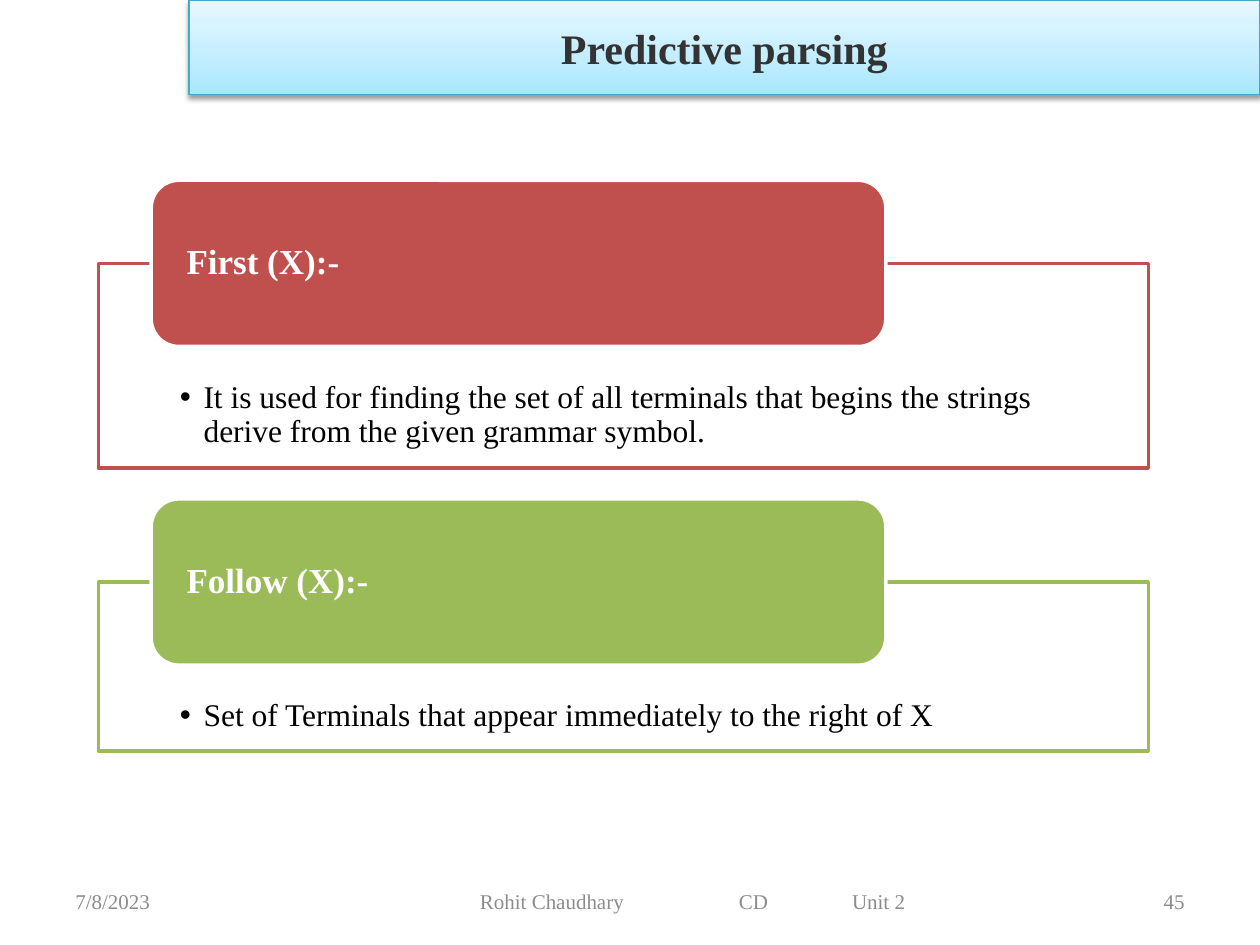
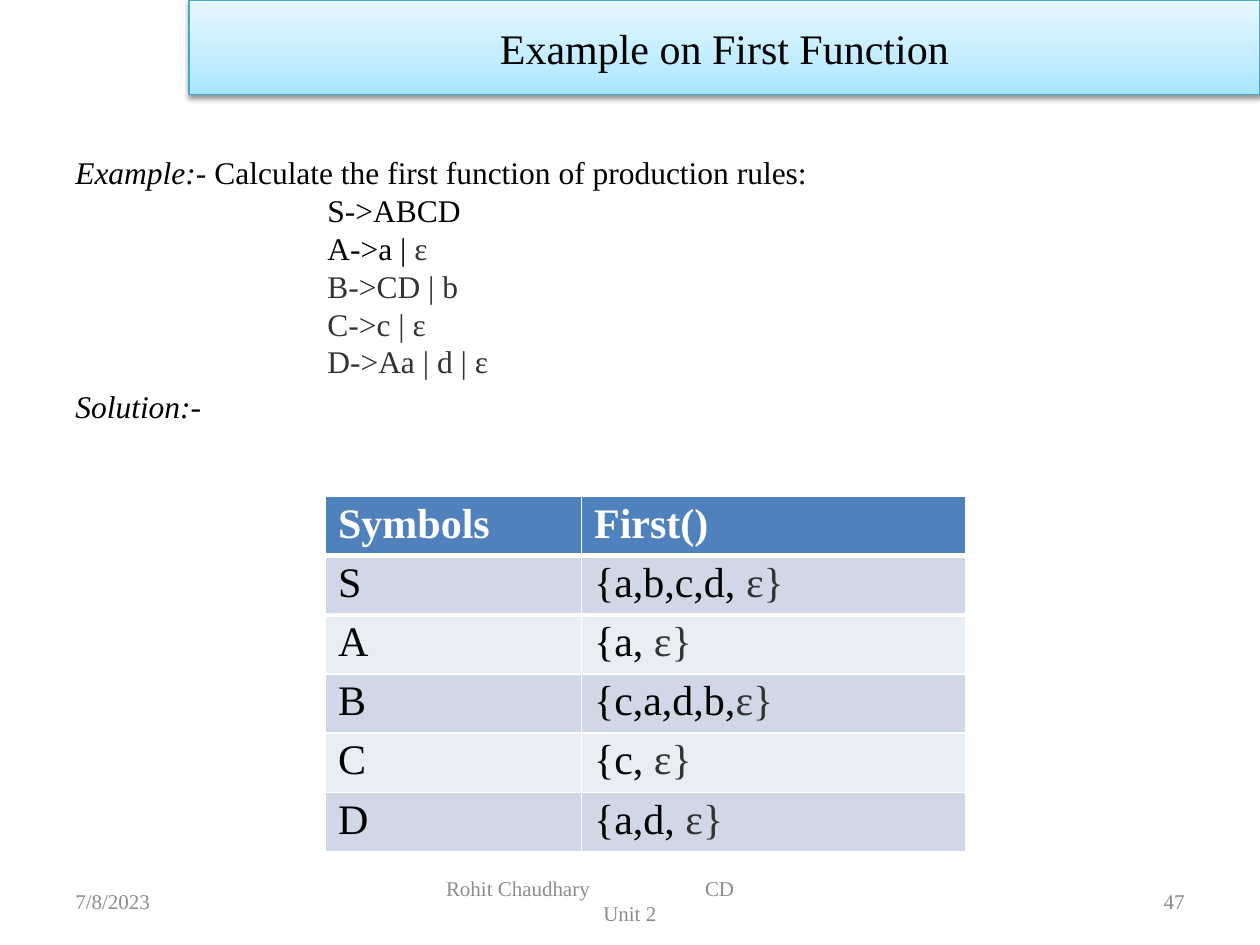
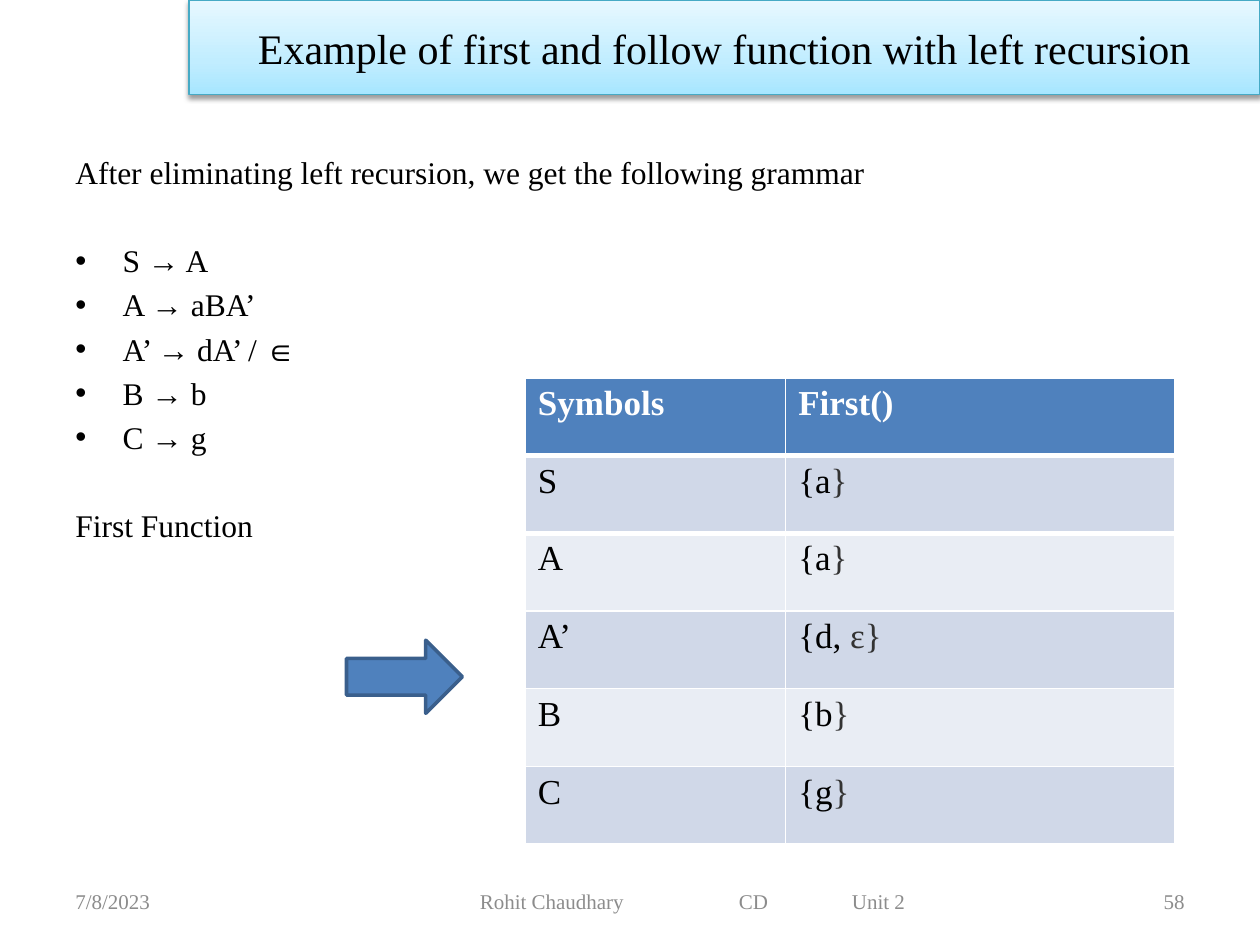
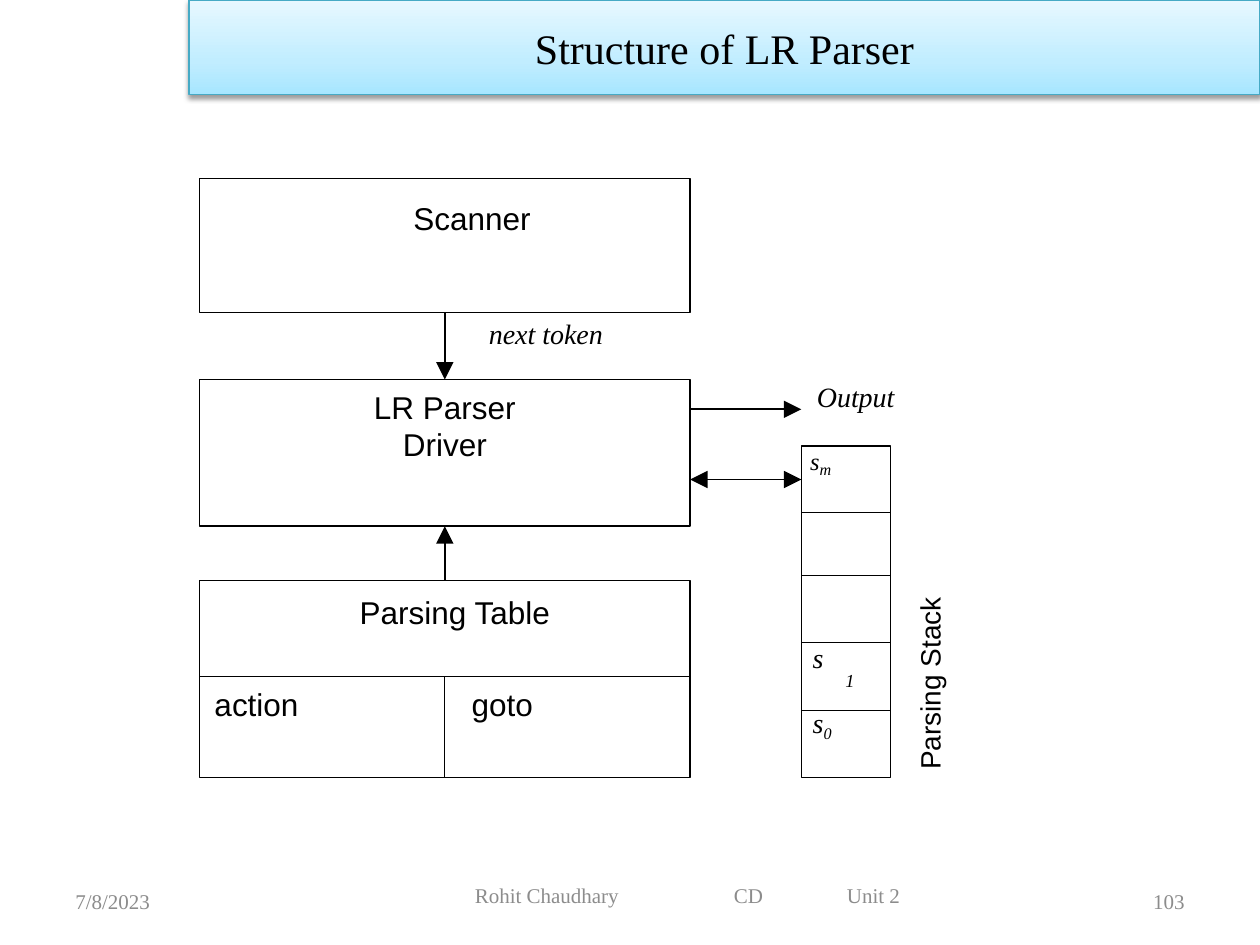
from lxml import etree
from pptx import Presentation
from pptx import util as u
from pptx.dml.color import RGBColor
from pptx.enum import shapes, text
from pptx.oxml import ns

Pt = u.Pt
KIND = shapes.MSO_SHAPE
ALIGN = text.PP_ALIGN
ANCHOR = text.MSO_ANCHOR
SERIF, SANS = "Times New Roman", "Arial"
HUES = {
    "black": "000000", "white": "FFFFFF", "dark": "333333", "gray": "8C8C8C",
    "red": "C0504D", "green": "9BBB59", "blue": "4F81BD", "navy": "3A5F8C",
    "teal": "46AAC5", "band": "D0D8E8", "pale": "E9EDF4",
}
BANNER = [(0, "A7E6FF"), (35, "C1EDFF"), (100, "E7F8FF")]


def hue(name):
    return RGBColor.from_string(HUES[name])


def sub(parent, tag, **attrs):
    node = etree.SubElement(parent, ns.qn("a:" + tag))
    for key, value in attrs.items():
        node.set(key, str(value))
    return node


class Deck:
    def __init__(self):
        self.prs = Presentation()
        self.prs.slide_width, self.prs.slide_height = Pt(720), Pt(540)
        self.slide = None

    def page(self, title, number, foot, color="black", bold=False):
        """Start a slide with its title band and footer."""
        self.slide = self.prs.slides.add_slide(self.prs.slide_layouts[6])
        self.band(title, color, bold)
        self.foot(number, *foot)

    def band(self, title, color, bold):
        band = self.box(108, 0, 612, 54, line="teal")
        band.fill.gradient()
        band.fill.gradient_angle = 90
        props = band._element.spPr
        stops = props.find(".//" + ns.qn("a:gsLst"))
        for stop in list(stops):
            stops.remove(stop)
        for place, tone in BANNER:
            sub(sub(stops, "gs", pos=place * 1000), "srgbClr", val=tone)
        shade = sub(props.find(ns.qn("a:effectLst")), "outerShdw", blurRad=Pt(3.1),
                    dist=Pt(1.6), dir=5400000, rotWithShape=0)
        sub(sub(shade, "srgbClr", val=HUES["black"]), "alpha", val=38000)
        self.say(self.frame(band, anchor=ANCHOR.MIDDLE), title, 24, color,
                 bold=bold, align=ALIGN.CENTER)

    def foot(self, number, left, width, start, high=28.8, wrap=False):
        """Date, credit line starting at `start`, and slide number."""
        top = 500.4
        parts = [(36, 168, 7.2, 7.2, 28.8, ["7/8/2023"], ALIGN.LEFT),
                 (left, width, start - left, 9.4, high,
                  ["Rohit Chaudhary\tCD", "Unit 2"] if wrap
                  else ["Rohit Chaudhary\tCD\tUnit 2"], ALIGN.LEFT),
                 (516, 168, 7.2, 7.2, 28.8, [str(number)], ALIGN.RIGHT)]
        for x, w, near, far, h, lines, align in parts:
            frame = self.label(x, top, w, h, (near, 3.6, far, 3.6), ANCHOR.MIDDLE)
            for line in lines:
                self.say(frame, line, 12, "gray", tabs=(148, 212.6) if "\t" in line else (),
                         align=ALIGN.CENTER if line == "Unit 2" else align)

    def box(self, x, y, w, h, fill=None, line="black", width=0.75, kind=KIND.RECTANGLE):
        shape = self.slide.shapes.add_shape(kind, Pt(x), Pt(y), Pt(w), Pt(h))
        shape.shadow.inherit = False
        if fill:
            shape.fill.solid()
            shape.fill.fore_color.rgb = hue(fill)
        else:
            shape.fill.background()
        shape.line.color.rgb = hue(line)
        shape.line.width = Pt(width)
        return shape

    def frame(self, shape, inset=(7.2, 3.6, 7.2, 3.6), anchor=ANCHOR.TOP):
        frame = shape.text_frame
        frame.word_wrap = True
        frame.vertical_anchor = anchor
        (frame.margin_left, frame.margin_top,
         frame.margin_right, frame.margin_bottom) = map(Pt, inset)
        return frame

    def label(self, x, y, w, h, inset=(7.2, 3.6, 7.2, 3.6), anchor=ANCHOR.TOP, turn=0):
        shape = self.slide.shapes.add_textbox(Pt(x), Pt(y), Pt(w), Pt(h))
        shape.rotation = turn
        return self.frame(shape, inset, anchor)

    def say(self, frame, runs, size, color="black", face=SERIF, bold=False, ital=False,
            align=ALIGN.LEFT, left=0, hang=0, bullet=False, tabs=(), before=0, lead=None):
        """Add a paragraph; each run is text or (text, changes)."""
        para = frame.add_paragraph() if frame.text else frame.paragraphs[0]
        para.alignment = align
        if before:
            para.space_before = Pt(before)
        if lead:
            para.line_spacing = lead
        props = para._p.get_or_add_pPr()
        if left:
            props.set("marL", str(Pt(left)))
            props.set("indent", str(Pt(-hang)))
        if bullet:
            sub(props, "buFont", typeface=SANS)
            sub(props, "buChar", char="•")
        if tabs:
            stops = sub(props, "tabLst")
            for place in tabs:
                sub(stops, "tab", pos=Pt(place), algn="l")
        font = para.font
        font.name, font.size, font.bold, font.italic = face, Pt(size), bold, ital
        font.color.rgb = hue(color)
        for item in [runs] if isinstance(runs, str) else runs:
            words, change = (item, {}) if isinstance(item, str) else item
            run = para.add_run()
            run.text = words
            if "color" in change:
                run.font.color.rgb = hue(change["color"])
            if "ital" in change:
                run.font.italic = change["ital"]
            if "size" in change:
                run.font.size = Pt(change["size"])
            if "base" in change:
                run._r.get_or_add_rPr().set("baseline", str(change["base"] * 1000))

    def line(self, x1, y1, x2, y2, start=None, end=None, tips=(), width=0.75):
        """Straight line; start and end are (shape, side) joins."""
        line = self.slide.shapes.add_connector(
            shapes.MSO_CONNECTOR.STRAIGHT, Pt(x1), Pt(y1), Pt(x2), Pt(y2))
        if start:
            line.begin_connect(*start)
        if end:
            line.end_connect(*end)
        line.line.color.rgb = hue("black")
        line.line.width = Pt(width)
        stroke = line.line._get_or_add_ln()
        for tip in tips:
            sub(stroke, tip, type="triangle", w="lg", len="lg")
        sub(line._element.spPr, "effectLst")

    def arrow(self, *ends, start=None, end=None, tips=("tailEnd",)):
        self.line(*ends, start, end, tips, 1)

    def rule(self, cell, side):
        """Thick white border on one side of a cell."""
        props = cell._tc.get_or_add_tcPr()
        edge = sub(props, side, w=Pt(3))
        sub(sub(edge, "solidFill"), "srgbClr", val=HUES["white"])
        props.insert(0, edge)

    def table(self, x, y, cols, row, size, rows, pad=3.6):
        """Table of symbols and their sets; closing part of a set is dark."""
        grid = self.slide.shapes.add_table(len(rows) + 1, len(cols), Pt(x), Pt(y),
                                           Pt(sum(cols)), Pt(row * (len(rows) + 1))).table
        for col, width in zip(grid.columns, cols):
            col.width = Pt(width)
        body = [(name, [head, (tail, {"color": "dark"})]) for name, head, tail in rows]
        for r, cells in enumerate([("Symbols", "First()")] + body):
            grid.rows[r].height = Pt(row)
            for c, words in enumerate(cells):
                cell = grid.cell(r, c)
                cell.margin_top = cell.margin_bottom = Pt(pad)
                cell.fill.solid()
                cell.fill.fore_color.rgb = hue("blue" if r == 0 else "band" if r % 2 else "pale")
                if r < 2:
                    self.rule(cell, "lnT" if r else "lnB")
                self.say(cell.text_frame, words, size, "black" if r else "white", bold=r == 0)


def predict(deck):
    deck.page("Predictive parsing", 45, (198, 396, 274.3), "dark", True)
    cards = [
        (103, 117, "red", "First (X):-", "It is used for finding the set of all terminals "
         "that begins the strings derive from the given grammar symbol."),
        (285.1, 96.6, "green", "Follow (X):-",
         "Set of Terminals that appear immediately to the right of X"),
    ]
    for y, h, color, head, note in cards:
        panel = deck.box(56.2, y + 47.5, 600, h, "white", color, 2)
        deck.say(deck.frame(panel, (46.6, 67.3, 46.8, 10)), note, 18, left=13.5, hang=13.5,
                 bullet=True, lead=0.9)
        tag = deck.box(86.4, y, 419.8, 95, color, "white", 2, KIND.ROUNDED_RECTANGLE)
        deck.say(deck.frame(tag, (15.6, 0, 15.6, 0), ANCHOR.MIDDLE), head, 20, "white",
                 bold=True, lead=0.9)


def first(deck):
    deck.page("Example on First Function", 47, (246.2, 228.2, 254.9, 28.8, True))
    body = deck.label(36, 84.2, 648, 398.2)
    deck.say(body, [("Example:- ", {"ital": True}),
                    "Calculate the first function of production rules:"], 18)
    deck.say(body, "S->ABCD", 18, left=144)
    deck.say(body, ["A->a |", (" ε", {"color": "dark"})], 18, left=144)
    for rule in ["B->CD | b", "C->c | ε", "D->Aa | d | ε"]:
        deck.say(body, rule, 18, "dark", left=144)
    deck.say(body, "Solution:-", 18, ital=True, before=3.6)
    deck.table(186, 283.7, (146.3, 219.5), 33.8, 24, [
        ("S", "{a,b,c,d,", " ε}"), ("A", "{a,", " ε}"), ("B", "{c,a,d,b,", "ε}"),
        ("C", "{c,", " ε}"), ("D", "{a,d,", " ε}")], pad=2.5)


def follow(deck):
    deck.page("Example of first and follow function with left recursion", 58,
              (246.2, 300.2, 274.3))
    body = deck.label(36, 84.2, 648, 398.2)
    deck.say(body, "After eliminating left recursion, we get the following grammar", 18)
    for i, rule in enumerate(["S → A", "A → aBA’", "A’ → dA’ / ∈", "B → b", "C → g"]):
        deck.say(body, rule, 18, left=27, hang=27, bullet=True, before=3.6 if i else 28.6)
    deck.say(body, "First Function", 18, before=28.8)
    deck.table(300.2, 216, (148.8, 222.6), 44.4, 20, [
        ("S", "{a", "}"), ("A", "{a", "}"), ("A’", "{d,", " ε}"),
        ("B", "{b", "}"), ("C", "{g", "}")])
    deck.box(198, 365.8, 66.2, 41.8, "blue", "navy", 2, KIND.RIGHT_ARROW)


def parser(deck):
    deck.page("Structure of LR Parser", 103, (246.2, 293.8, 271.4, 22))
    left, wide = 114, 280.4
    mid, right = left + wide / 2, left + wide

    # Boxes and the lines that divide them
    scan, drive, grid = [deck.box(left, y, wide, h)
                         for y, h in [(102.2, 76.6), (216.9, 83.8), (331.9, 112.3)]]
    deck.line(left, 386.6, right, 386.6)
    deck.line(mid, 386.6, mid, 444.2)
    x, y, wall = 457.9, 254.9, 51.1
    deck.box(x, y, wall, 189.3)
    for cut in (293, 329, 367.2, 406.1):
        deck.line(x, cut, x + wall, cut)

    # Arrows
    deck.arrow(mid, 178.8, mid, 216.9, start=(scan, 2), end=(drive, 0))
    deck.arrow(mid, 331.9, mid, 300.7, start=(grid, 0), end=(drive, 2))
    deck.arrow(right, 233.9, x, 233.9)
    deck.arrow(right, 274, x, 274, tips=("headEnd", "tailEnd"))

    # Names of the parts: place, size, left and top inset, alignment, lines
    parts = [
        (left, 102.2, wide, 76.6, 31, 12.7, ALIGN.CENTER, ["Scanner"]),
        (left, 216.9, wide, 83.8, 0, 6, ALIGN.CENTER, ["LR Parser", "Driver"]),
        (left, 331.9, wide, 54.7, 11.5, 8.5, ALIGN.CENTER, ["Parsing Table"]),
        (left, 386.6, wide / 2, 57.6, 8.6, 6.5, ALIGN.LEFT, ["action"]),
        (mid, 386.6, wide / 2, 57.6, 15.3, 6.5, ALIGN.LEFT, ["goto"]),
    ]
    for px, py, w, h, inset, top, align, lines in parts:
        frame = deck.label(px, py, w, h, (inset, top, 0, 0))
        for i, line in enumerate(lines):
            deck.say(frame, line, 18, face=SANS, align=align, lead=0.96, before=0.9 * i)

    # Stack entries
    states = [
        (y, [("s", {"size": 24, "base": 7}), ("m", {"size": 15.8, "base": -8})], 5, Pt(20.5)),
        (367.2, "s", 6.5, 0.96),
        (406.1, ["s", ("0", {"size": 15.8, "base": -22})], 6.5, Pt(18.4)),
    ]
    for top, runs, inset, lead in states:
        deck.say(deck.label(x, top, wall, 38.2, (inset, 0, 0, 0)), runs, 16,
                 ital=True, lead=lead)

    # Labels
    notes = [
        ("next token", 279.4, 182.9, 147, 28.8, 16, SERIF, 17.3, 0),
        ("Output", 466.8, 218.9, 104, 28.8, 16, SERIF, 17.3, 0),
        ("1", 483.1, 383, 18.7, 20.2, 10.5, SERIF, 11.8, 0),
        ("Parsing Stack", 460.1, 339.8, 163.4, 36.7, 16, SANS, 17.3, 270),
    ]
    for words, nx, ny, w, h, size, face, lead, turn in notes:
        deck.say(deck.label(nx, ny, w, h, (0, 0, 0, 0), turn=turn), words, size,
                 face=face, ital=face == SERIF, lead=Pt(lead))


def main():
    deck = Deck()
    for build in (predict, first, follow, parser):
        build(deck)
    deck.prs.save("out.pptx")


if __name__ == "__main__":
    main()
